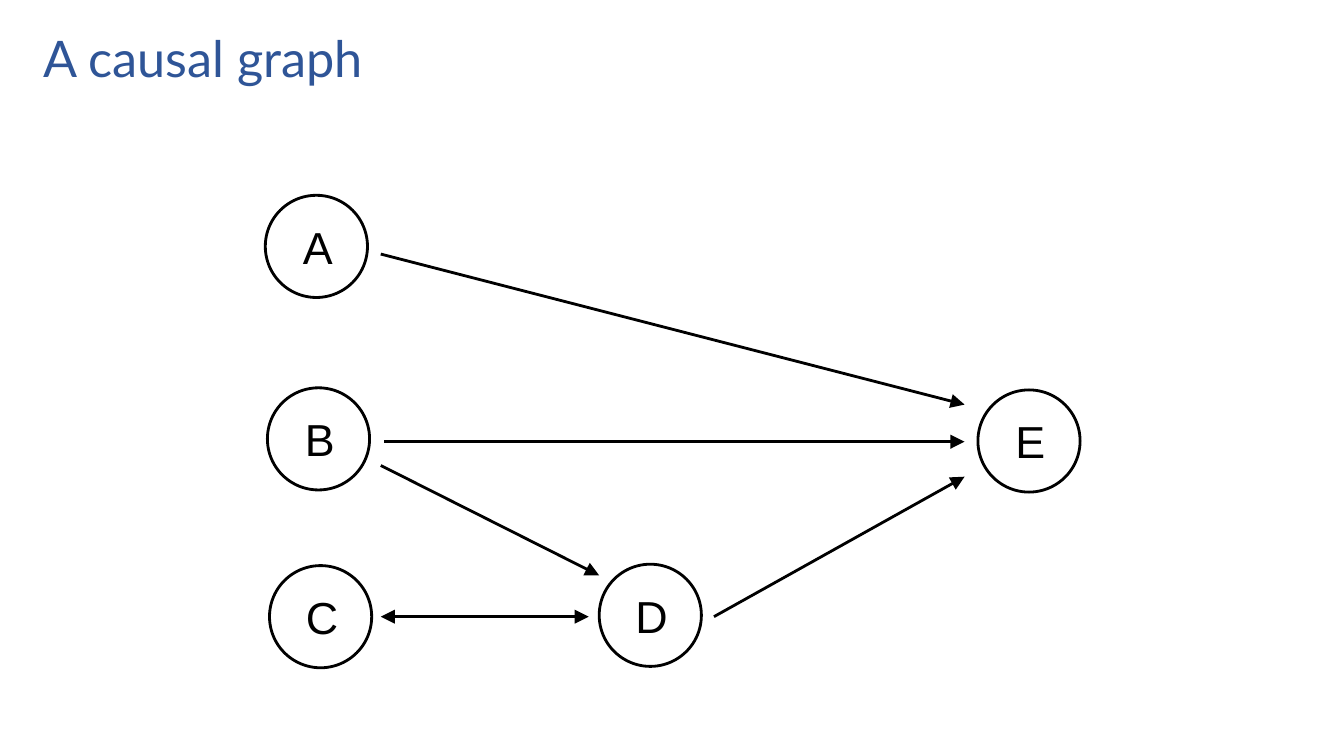
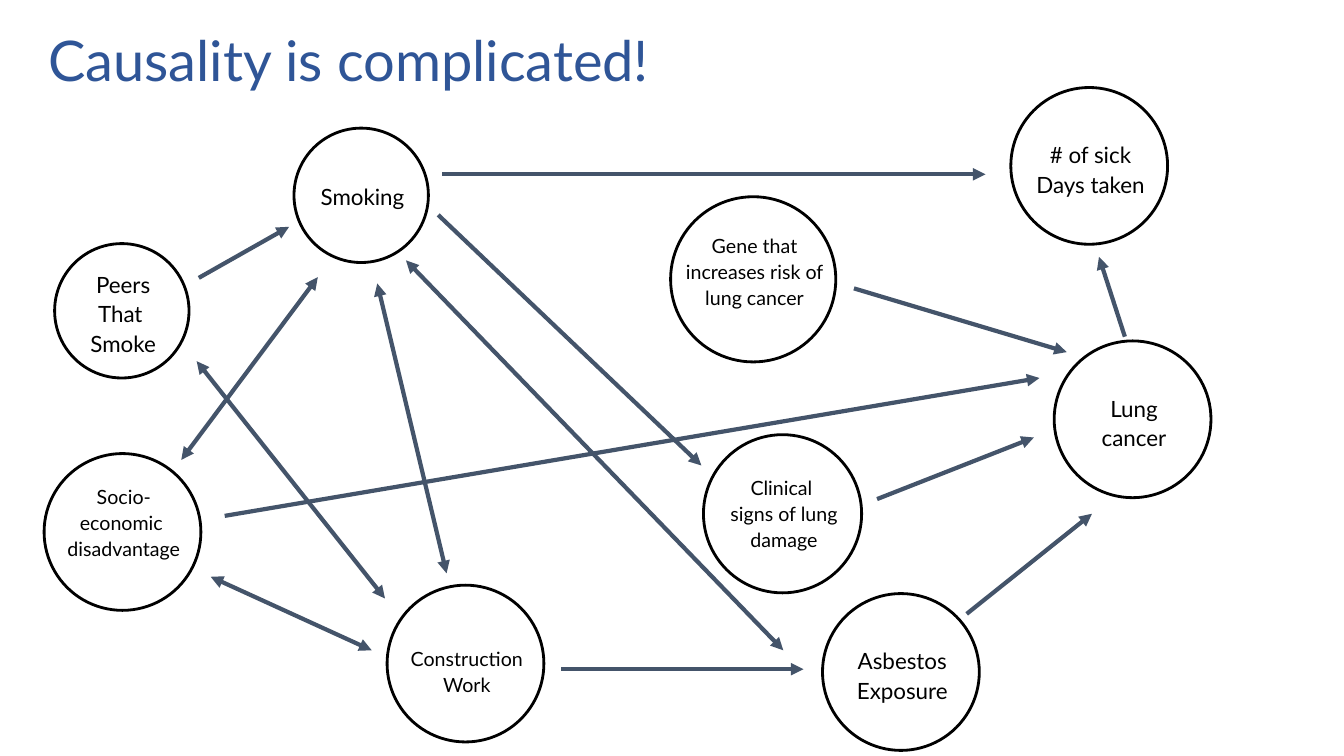
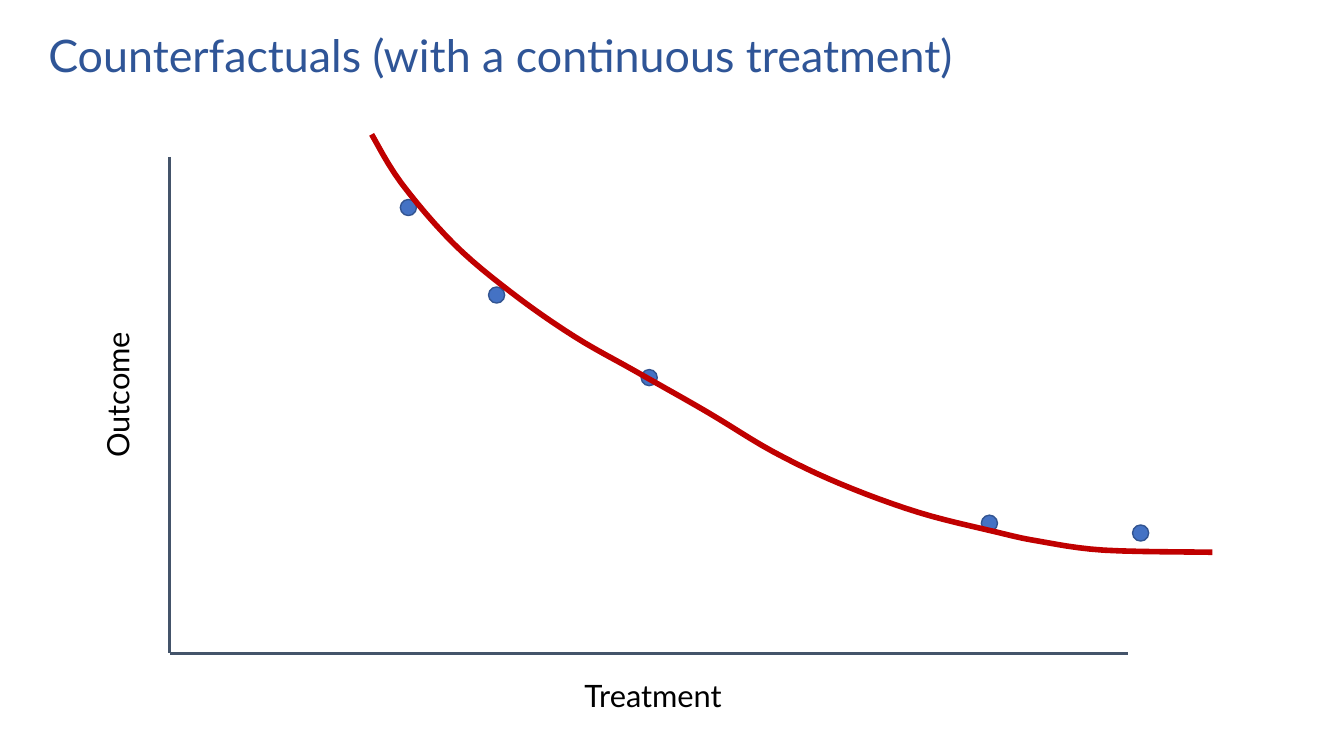
from pptx import Presentation
from pptx.dml.color import RGBColor
from pptx.enum.shapes import MSO_CONNECTOR, MSO_SHAPE
from pptx.enum.text import PP_ALIGN
from pptx.oxml.ns import qn
from pptx.util import Pt
from lxml.etree import SubElement

HUES = {
    "title": "2F5597",
    "ink": "000000",
    "slate": "44546A",
    "dot": "4472C4",
    "rim": "325491",
    "curve": "C00000",
}
FONT = "Lato"
PAD = 9.5  # inner margin of titles and axis names

# Circle diameters
SMALL, LARGE = 96, 112
LETTER = 73
DOT = 11.5

# Letter nodes: left, top, text
LETTERS = [
    (189.5, 139.5, "A"),
    (191, 277, "B"),
    (192.5, 404, "C"),
    (428, 403, "D"),
    (698.5, 278.5, "E"),
]
# Arrows: x and y of the tail, then of the tip
LETTER_LINKS = [
    (272, 181.5, 689, 289),      # A to E
    (274.5, 315.5, 689, 315.5),  # B to E
    (272, 332.5, 428, 411),      # B to D
    (510, 440.5, 689, 340.5),    # D to E
]
LETTER_PAIRS = [(272, 440.5, 420.5, 440.5)]  # C with D

# Factor nodes: left, top, diameter, drop of the label, font size, text
FACTORS = [
    (210, 91.5, SMALL, 34, 16, "Smoking"),
    (39, 174, SMALL, 14, 16, "Peers\nThat \nSmoke"),
    (31.5, 324, LARGE, 17, 14, "Socio-\neconomic \ndisadvantage"),
    (276.5, 418, LARGE, 39, 14, "Construction\nWork"),
    (587.5, 424, LARGE, 33, 16, "Asbestos\nExposure"),
    (753, 243.5, LARGE, 33, 16, "Lung\ncancer"),
    (722, 62.5, LARGE, 33, 16, "# of sick\nDays taken"),
    (479, 140.5, 118, 21.5, 14, "Gene that increases risk of lung cancer"),
    (502.5, 310.5, 113, 24.5, 14, "Clinical \nsigns of lung damage"),
]
FACTOR_LINKS = [
    (316, 124.5, 704, 124.5),      # smoking to sick days
    (313, 153.5, 501, 332.5),      # smoking to clinical signs
    (803.5, 240.5, 785, 183.5),    # lung cancer to sick days
    (626.5, 356.5, 738.5, 312.5),  # clinical signs to lung cancer
    (690.5, 438.5, 780, 367),      # asbestos to lung cancer
    (142, 198.5, 206.5, 162),      # peers to smoking
    (401, 478, 574, 478),          # construction to asbestos
    (160.5, 368.5, 742.5, 270),    # disadvantage to lung cancer
    (610, 206, 762, 251.5),        # gene to lung cancer
]
FACTOR_PAIRS = [
    (269.5, 202.5, 319, 409.5),    # smoking with construction
    (290, 186, 559.5, 464.5),      # smoking with asbestos
    (227, 198, 129.5, 328.5),      # smoking with disadvantage
    (265.5, 464.5, 150.5, 412),    # construction with disadvantage
    (275, 427.5, 140.5, 258),      # construction with peers
]

AXES = [(121, 112, 121, 466.5), (121.5, 466.5, 805.5, 466.5)]
DOTS = [(286, 142.5), (349, 205), (458, 264), (701, 368), (809, 375)]
# Points that the outcome curve passes through
KNOTS = [
    (265.5, 96), (286.5, 130.5), (324, 174), (366, 209.5), (410.5, 240.5),
    (454.5, 265.5), (505.5, 294.5), (552, 322.5), (600, 345.5), (656, 366),
    (711.5, 380), (741.5, 386.5), (788.5, 393), (866, 394.5),
]


def tint(name):
    return RGBColor.from_string(HUES[name])


def write(slide, text, box, size, font=FONT, hue="ink",
          align=PP_ALIGN.CENTER, gap=1.0, pad=None, turn=0):
    """Add a text box; each line of text is a paragraph."""
    label = slide.shapes.add_textbox(*map(Pt, box))
    label.rotation = turn
    frame = label.text_frame
    frame.word_wrap = True
    if pad is not None:
        frame.margin_left = frame.margin_right = Pt(pad)
        frame.margin_top = frame.margin_bottom = Pt(pad)
    frame.text = text
    for para in frame.paragraphs:
        para.alignment = align
        para.line_spacing = gap
        for run in para.runs:
            run.font.name = font
            run.font.size = Pt(size)
            run.font.color.rgb = tint(hue)


def style(shape, hue, width, fill=None):
    shape.shadow.inherit = False
    shape.line.color.rgb = tint(hue)
    shape.line.width = Pt(width)
    if fill:
        shape.fill.solid()
        shape.fill.fore_color.rgb = tint(fill)
    else:
        shape.fill.background()


def ring(slide, left, top, size, hue="ink", width=2, fill=None):
    box = map(Pt, (left, top, size, size))
    style(slide.shapes.add_shape(MSO_SHAPE.OVAL, *box), hue, width, fill)


def node(slide, left, top, wide, drop, size, text, **form):
    """Add a circle whose label starts at a given drop below its top."""
    ring(slide, left, top, wide)
    box = (left - 2.5, top + drop, wide + 7, wide - drop)
    write(slide, text, box, size, **form)


def line(slide, ends, hue, width, tips=(), head="med"):
    link = slide.shapes.add_connector(MSO_CONNECTOR.STRAIGHT, *map(Pt, ends))
    link.line.color.rgb = tint(hue)
    link.line.width = Pt(width)
    props = link._element.spPr
    for tip in tips:
        SubElement(props.find(qn("a:ln")), qn("a:" + tip),
                   type="triangle", w=head, len=head)
    SubElement(props, qn("a:effectLst"))


def arrows(slide, links, pairs, **form):
    """Draw links with one arrowhead and pairs with two."""
    for ends in links:
        line(slide, ends, tips=["tailEnd"], **form)
    for ends in pairs:
        line(slide, ends, tips=["headEnd", "tailEnd"], **form)


def blend(a, b, c, d, t):
    """Catmull-Rom value between b and c, at t from 0 to 1."""
    return (2 * b + (c - a) * t + (2 * a - 5 * b + 4 * c - d) * t ** 2
            + (3 * b - a - 3 * c + d) * t ** 3) / 2


def smooth(knots, steps=6):
    """Return the points of a smooth curve through all knots."""
    ring_out = [knots[0], *knots, knots[-1]]
    spans = zip(ring_out, ring_out[1:], ring_out[2:], ring_out[3:])
    points = [
        tuple(blend(*axis, step / steps) for axis in zip(*span))
        for span in spans for step in range(steps)
    ]
    return points + [knots[-1]]


def curve(slide, knots, hue, width):
    first, *rest = [(Pt(x), Pt(y)) for x, y in smooth(knots)]
    pen = slide.shapes.build_freeform(*first)
    pen.add_line_segments(rest, close=False)
    style(pen.convert_to_shape(), hue, width)


def page(deck, title, size, left=25):
    """Add a blank slide with its title."""
    slide = deck.slides.add_slide(deck.slide_layouts[6])
    write(slide, title, (left, 14.5, 900, 60.5), size, hue="title",
          align=PP_ALIGN.LEFT, gap=0.9, pad=PAD)
    return slide


def graph(deck):
    slide = page(deck, "A causal graph", 36, left=21.5)
    for left, top, text in LETTERS:
        node(slide, left, top, LETTER, 18, 32, text, font="Arial", gap=0.9)
    arrows(slide, LETTER_LINKS, LETTER_PAIRS, hue="ink", width=2, head="lg")


def web(deck):
    slide = page(deck, "Causality is complicated!", 40)
    arrows(slide, FACTOR_LINKS, FACTOR_PAIRS, hue="slate", width=3)
    for factor in FACTORS:
        node(slide, *factor, gap=1.1)


def plot(deck):
    slide = page(deck, "Counterfactuals (with a continuous treatment)", 32)
    for ends in AXES:
        line(slide, ends, "slate", 2)
    write(slide, "Treatment", (315.5, 474, 302, 33), 22, pad=PAD)
    write(slide, "Outcome", (-73.5, 265.5, 302, 33), 22, pad=PAD, turn=270)
    for left, top in DOTS:
        ring(slide, left, top, DOT, "rim", 1, "dot")
    curve(slide, KNOTS, "curve", 4)


def main():
    deck = Presentation()
    deck.slide_width, deck.slide_height = Pt(960), Pt(540)
    for build in (graph, web, plot):
        build(deck)
    deck.save("out.pptx")


if __name__ == "__main__":
    main()
